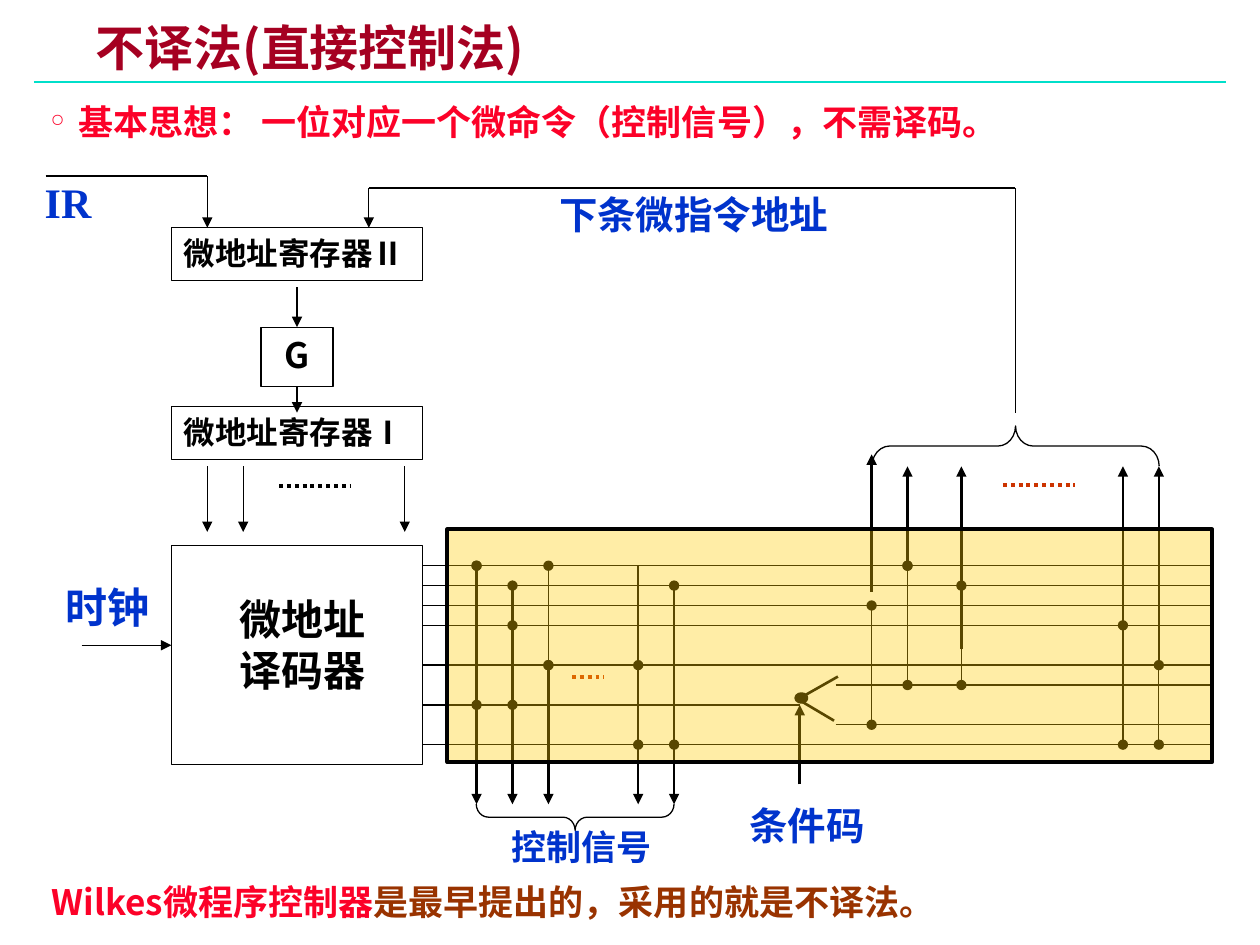
from lxml import etree
from pptx import Presentation
from pptx.dml.color import RGBColor
from pptx.enum.dml import MSO_LINE
from pptx.enum.shapes import MSO_CONNECTOR, MSO_SHAPE
from pptx.enum.text import MSO_ANCHOR, MSO_AUTO_SIZE, PP_ALIGN
from pptx.oxml.ns import qn
from pptx.util import Inches, Pt

LEFT, CENTER = PP_ALIGN.LEFT, PP_ALIGN.CENTER
TOP, MIDDLE = MSO_ANCHOR.TOP, MSO_ANCHOR.MIDDLE
FIT_NONE = MSO_AUTO_SIZE.NONE
STRAIGHT = MSO_CONNECTOR.STRAIGHT
RECT, OVAL = MSO_SHAPE.RECTANGLE, MSO_SHAPE.OVAL
BRACE_L, BRACE_R = MSO_SHAPE.LEFT_BRACE, MSO_SHAPE.RIGHT_BRACE
DOTS = MSO_LINE.ROUND_DOT

BLACK = RGBColor(0x00, 0x00, 0x00)
WHITE = RGBColor(0xFF, 0xFF, 0xFF)
TEAL = RGBColor(0x00, 0xDF, 0xCA)
WINE = RGBColor(0xA5, 0x00, 0x21)
RED = RGBColor(0xFC, 0x01, 0x28)
BLUE = RGBColor(0x00, 0x33, 0xCC)
BROWN = RGBColor(0x99, 0x33, 0x00)
RUST = RGBColor(0xCC, 0x33, 0x00)
GOLD = RGBColor(0xFF, 0xCC, 0x00)

SANS, SERIF = "Noto Sans CJK SC", "Times New Roman"
TITLE_FONT = "Noto Sans CJK JP"

# Diagram grid: column 0 is the left side of the boxes, row 0 the top word line.
COL, ROW = 6.27 / 22, 1.42 / 9
THIN, BOLD = 0.75, 1.5


def at(col, row):
    return 1.36 + col * COL, 4.49 + row * ROW


def style(para, size, color, font=SANS, align=LEFT):
    para.alignment = align
    for run in para.runs:
        face = run.font
        face.size, face.bold, face.name = Pt(size), True, font
        face.color.rgb = color
        east = etree.SubElement(run._r.get_or_add_rPr(), qn("a:ea"))
        east.set("typeface", font)


def wire(slide, start, end, width=THIN, head=None, tail=None,
         color=BLACK, dash=None):
    """Straight line between two points in inches, with optional line ends."""
    line = slide.shapes.add_connector(
        STRAIGHT, *(Inches(v) for v in (*start, *end)))
    line.line.width = Pt(width)
    line.line.color.rgb = color
    if dash:
        line.line.dash_style = dash
    ln = line.line._get_or_add_ln()
    for tag, kind in (("a:headEnd", head), ("a:tailEnd", tail)):
        if kind:
            etree.SubElement(ln, qn(tag)).set("type", kind)
    etree.SubElement(line._element.spPr, qn("a:effectLst"))
    return line


def shape(slide, kind, box, fill=None, width=THIN):
    item = slide.shapes.add_shape(kind, *(Inches(v) for v in box))
    item.shadow.inherit = False
    if fill is None:
        item.fill.background()
    else:
        item.fill.solid()
        item.fill.fore_color.rgb = fill
    item.line.color.rgb = BLACK
    item.line.width = Pt(width)
    return item


def block(slide, col, row, wide, high, text, size, align=LEFT):
    """White box of the diagram, placed and sized in grid units."""
    item = shape(slide, RECT, (*at(col, row), wide * COL, high * ROW), WHITE)
    frame = item.text_frame
    frame.word_wrap = True
    frame.vertical_anchor = TOP
    frame.text = text
    for para in frame.paragraphs:
        style(para, size, BLACK, align=align)
    return item


def label(slide, box, text, size, color=BLUE, font=SANS, align=CENTER):
    item = slide.shapes.add_textbox(*(Inches(v) for v in box))
    frame = item.text_frame
    frame.word_wrap = True
    frame.text = text
    style(frame.paragraphs[0], size, color, font, align)
    return item


def brace(slide, kind, box, bend):
    item = shape(slide, kind, box)
    item.rotation = 270
    item.adjustments[0] = bend


def inset(frame):
    frame.margin_left = frame.margin_right = Inches(0.07)
    frame.margin_top = frame.margin_bottom = Inches(0.03)


def heading(slide):
    wire(slide, (0.27, 0.65), (9.73, 0.65), BOLD, color=TEAL)
    title = slide.shapes.title
    title.left, title.top = Inches(0.69), Inches(0.18)
    title.width, title.height = Inches(6.83), Inches(0.46)
    frame = title.text_frame
    frame.text = "不译法(直接控制法)"
    frame.auto_size = FIT_NONE
    frame.vertical_anchor = MIDDLE
    inset(frame)
    frame.paragraphs[0].line_spacing = 0.87
    style(frame.paragraphs[0], 28, WINE, TITLE_FONT)


def idea(slide):
    item = label(slide, (0.33, 0.77, 8.15, 0.39),
                 "基本思想： 一位对应一个微命令（控制信号），不需译码。",
                 20, RED, align=LEFT)
    inset(item.text_frame)
    props = item.text_frame.paragraphs[0]._p.get_or_add_pPr()
    props.set("marL", str(Inches(0.22)))
    props.set("indent", str(-Inches(0.22)))
    etree.SubElement(props, qn("a:buChar")).set("char", "°")


def address(slide):
    """Address registers, gate and decoder with the arrows between them."""
    block(slide, 0, -17, 7, 2.67, "微地址寄存器Ⅱ", 18)
    block(slide, 0, -8, 7, 2.67, "微地址寄存器Ⅰ", 18)
    gate = block(slide, 2.5, -12, 2, 3, "G", 20, CENTER)
    core = block(slide, 0, -1, 7, 11, "微地址\n译码器", 24, CENTER)
    core.text_frame.margin_top = Inches(0.38)
    core.text_frame.margin_left = Inches(0.18)

    wire(slide, at(-3.5, -19.6), at(1, -19.6))
    wire(slide, at(1, -19.6), at(1, -17), tail="triangle")
    wire(slide, at(3.5, -14), at(3.5, -12),
         tail="triangle").end_connect(gate, 0)
    wire(slide, at(3.5, -9), at(3.5, -7.7),
         tail="triangle").begin_connect(gate, 2)
    for col in (1, 2, 6.5):
        wire(slide, at(col, -5), at(col, -1.7), tail="triangle")
    wire(slide, at(3, -4), at(5, -4), 2.25, dash=DOTS)
    wire(slide, at(-2.5, 4), at(0, 4), tail="triangle")

    wire(slide, at(5.5, -19), at(5.5, -17), tail="triangle")
    wire(slide, at(5.5, -19), at(23.5, -19))
    wire(slide, at(23.5, -19), at(23.5, -7.7))


def matrix(slide):
    """Word lines, bit lines and the dots where they meet."""
    for row in (0, 1, 2, 3, 5, 9):
        wire(slide, at(7, row), at(29, row))
    wire(slide, at(7, 7), at(17.5, 7))
    for row in (6, 8):
        wire(slide, at(18.5, row), at(29, row))

    arrows = [(8.5, 0, 12), (9.5, 1, 12), (10.5, 5, 12), (13, 0, 12),
              (14, 3.2, 12), (17.5, 11, 7), (19.5, 1.3, -5.6),
              (20.5, 0, -5), (22, 4.2, -5), (26.5, 4.2, -5), (27.5, 5, -5)]
    dotted = (8.5, 9.5, 10.5, 20.5)
    for col, start, end in arrows:
        wire(slide, at(col, start), at(col, end), BOLD,
             "oval" if col in dotted else None, "triangle")

    links = [(8.5, 0, 7), (9.5, 3, 7), (10.5, 0, 5), (13, 5, 9),
             (14, 1, 9), (19.5, 2, 8), (20.5, 0, 6), (22, 1, 6),
             (26.5, 3, 9), (27.5, 5, 9)]
    for col, start, end in links:
        wire(slide, at(col, start), at(col, end),
             BOLD if col == 13 else THIN, "oval", "oval")

    brace(slide, BRACE_L, (4.46, 5.7, 0.21, 1.57), 0.46)
    brace(slide, BRACE_R, (7.9, 2.4, 0.32, 2.28), 0.44)
    wire(slide, (6.35, 5.54), (6.65, 5.37), BOLD)
    wire(slide, (6.35, 5.56), (6.62, 5.72), BOLD)
    shape(slide, OVAL, (6.32, 5.51, 0.08, 0.06), BLACK, 2.25)
    wire(slide, (4.54, 5.37), (4.79, 5.37), 2.25, color=RUST, dash=DOTS)
    wire(slide, (7.96, 3.85), (8.53, 3.85), 2.25, color=RUST, dash=DOTS)

    veil = shape(slide, RECT, (3.55, 4.2, 6.07, 1.85), GOLD, 2)
    tint = veil._element.spPr.find(qn("a:solidFill"))[0]
    etree.SubElement(tint, qn("a:alpha")).set("val", "35000")


def notes(slide):
    label(slide, (0.04, 1.35, 1, 0.5), "IR", 24, font=SERIF)
    label(slide, (0.33, 4.57, 1.05, 0.5), "时钟", 24)
    label(slide, (5.62, 6.32, 1.57, 0.47), "条件码", 22)
    label(slide, (3.83, 6.5, 1.57, 0.43), "控制信号", 20)
    label(slide, (4.02, 1.47, 2.97, 0.47), "下条微指令地址", 22)
    foot = label(slide, (0.31, 6.94, 7.3, 0.44), "Wilkes微程序控制器",
                 20, RED, align=LEFT)
    para = foot.text_frame.paragraphs[0]
    para.add_run().text = "是最早提出的，采用的就是不译法。"
    style(para, 20, RED)
    para.runs[1].font.color.rgb = BROWN


def main():
    deck = Presentation()
    deck.slide_width, deck.slide_height = Inches(10), Inches(7.5)
    slide = deck.slides.add_slide(deck.slide_layouts[5])
    heading(slide)
    idea(slide)
    address(slide)
    matrix(slide)
    notes(slide)
    deck.save("out.pptx")


if __name__ == "__main__":
    main()
